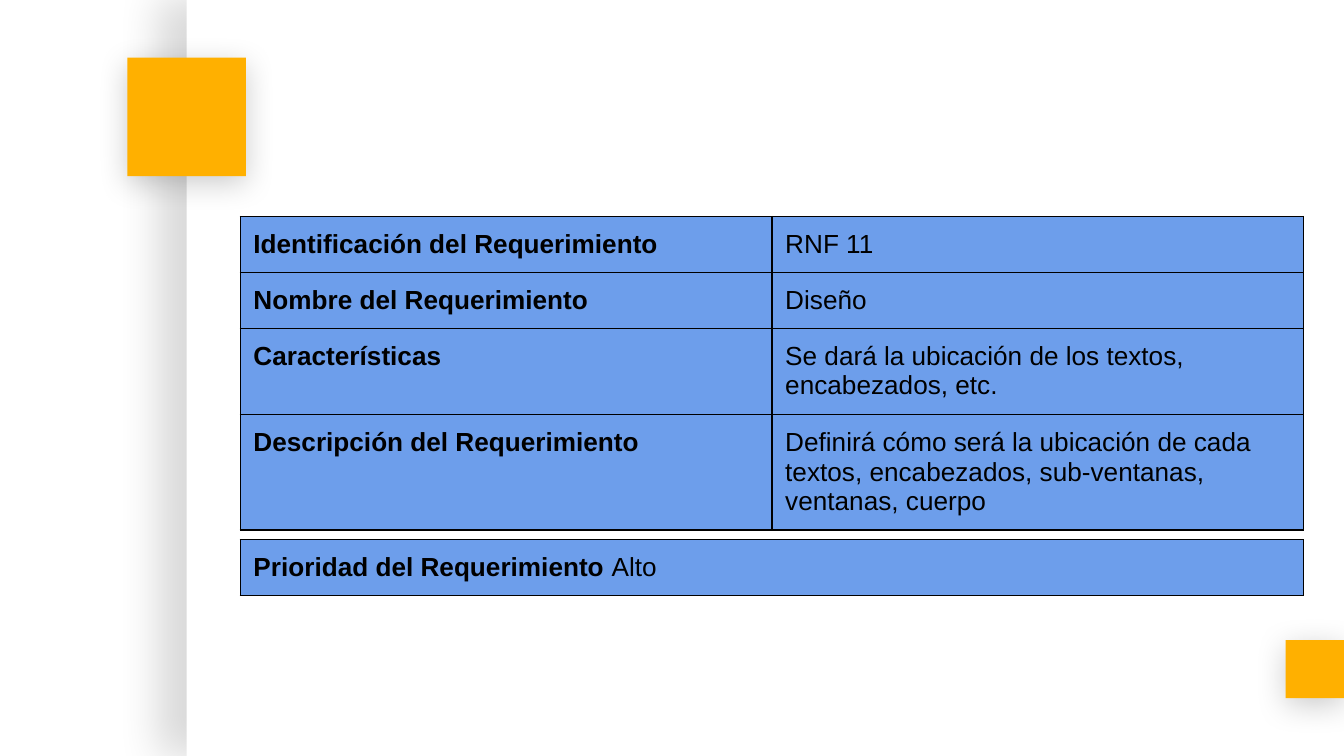
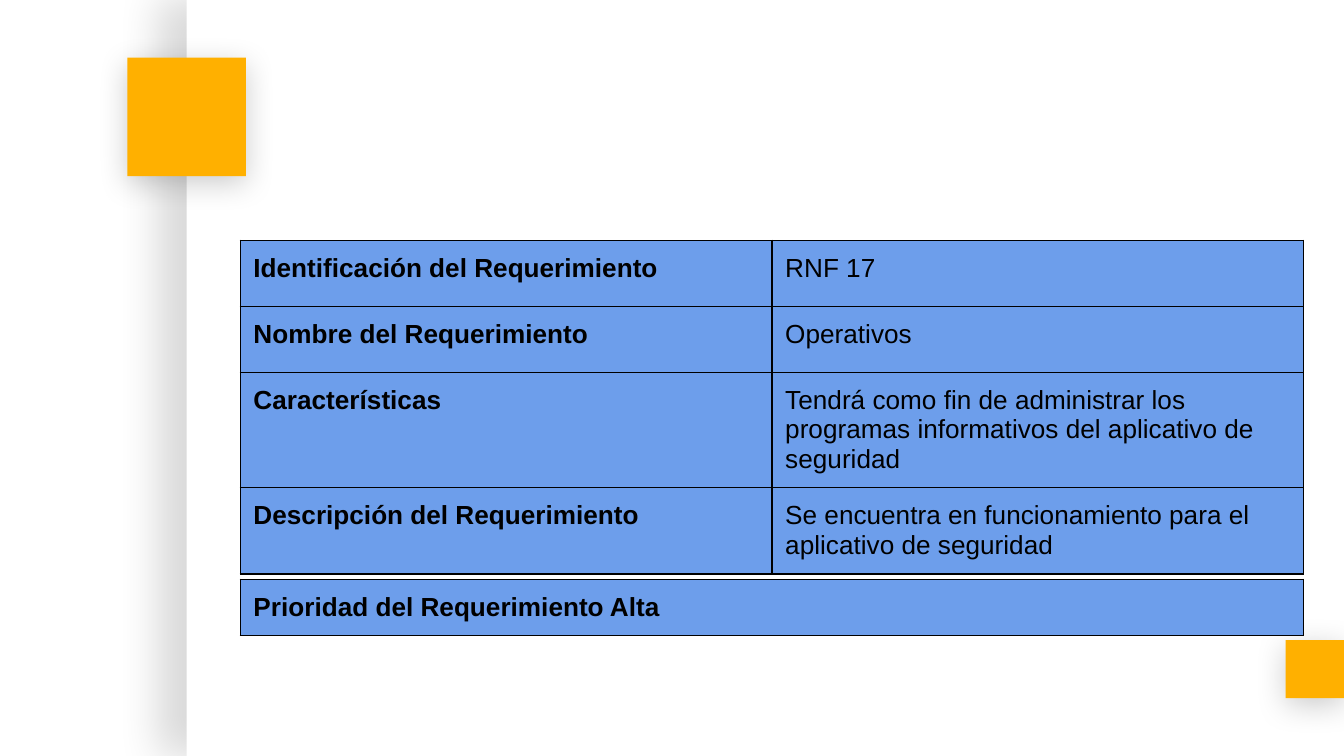
"""Build two slides of non-functional requirement sheets."""
from dataclasses import dataclass

from lxml.etree import SubElement
from pptx import Presentation
from pptx.dml.color import RGBColor
from pptx.enum.shapes import MSO_SHAPE
from pptx.oxml import parse_xml
from pptx.oxml.ns import nsdecls, qn
from pptx.util import Cm, Pt


@dataclass(frozen=True)
class Theme:
    paper: str = "FFFFFF"
    accent: str = "FFB000"
    cell: str = "6D9EEB"
    ink: str = "000000"
    font: str = "Arial"
    text_size: float = 14
    border: float = 0.75
    inset: float = 0.25


theme = Theme()


def add_block(slide, left, top, width, height, color, shadow):
    """Add a borderless rectangle with a soft outer shadow."""
    block = slide.shapes.add_shape(MSO_SHAPE.RECTANGLE, Cm(left), Cm(top), Cm(width), Cm(height))
    block.fill.solid()
    block.fill.fore_color.rgb = RGBColor.from_string(color)
    block.line.fill.background()
    block.shadow.inherit = False
    opacity, blur, distance, angle = shadow
    effects = block.element.spPr.find(qn("a:effectLst"))
    outer = SubElement(effects, qn("a:outerShdw"), blurRad=str(Pt(blur)), dist=str(Pt(distance)),
                       dir=str(angle * 60000), algn="bl", rotWithShape="0")
    tint = SubElement(outer, qn("a:srgbClr"), val=theme.ink)
    SubElement(tint, qn("a:alpha"), val=str(opacity * 1000))
    return block


def add_sheet(slide, top, column_width, heights, rows):
    """Add a bordered table; each cell is a list of (text, bold) runs."""
    columns = len(rows[0])
    frame = slide.shapes.add_table(len(rows), columns, Cm(4.54), Cm(top),
                                   Cm(column_width * columns), Cm(sum(heights)))
    sheet = frame.table
    sheet.first_row = sheet.horz_banding = False
    for column in sheet.columns:
        column.width = Cm(column_width)
    for row, height, contents in zip(sheet.rows, heights, rows):
        row.height = Cm(height)
        for cell, runs in zip(row.cells, contents):
            cell.margin_left = cell.margin_right = Cm(theme.inset)
            cell.margin_top = cell.margin_bottom = Cm(theme.inset)
            cell.fill.solid()
            cell.fill.fore_color.rgb = RGBColor.from_string(theme.cell)
            properties = cell._tc.get_or_add_tcPr()
            for position, side in enumerate(("lnL", "lnR", "lnT", "lnB")):
                properties.insert(position, parse_xml(
                    f'<a:{side} {nsdecls("a")} w="{Pt(theme.border)}"><a:solidFill>'
                    f'<a:srgbClr val="{theme.ink}"/></a:solidFill></a:{side}>'))
            paragraph = cell.text_frame.paragraphs[0]
            paragraph.font.name = theme.font
            paragraph.font.size = Pt(theme.text_size)
            paragraph.font.color.rgb = RGBColor.from_string(theme.ink)
            for text, bold in runs:
                run = paragraph.add_run()
                run.text = text
                run.font.bold = bold


deck = Presentation()
deck.slide_width, deck.slide_height = Cm(25.4), Cm(14.29)
layout = deck.slide_layouts[6]

labels = ("Identificación del Requerimiento", "Nombre del Requerimiento",
          "Características", "Descripción del Requerimiento")
requirements = [
    {
        "top": 4.09,
        "heights": (1.06, 1.06, 1.63, 2.18),
        "values": ("RNF 11", "Diseño", "Se dará la ubicación de los textos, encabezados, etc.",
                   "Definirá cómo será la ubicación de cada textos, encabezados, "
                   "sub-ventanas, ventanas, cuerpo"),
        "priority_top": 10.2,
        "priority": [("Prioridad del Requerimiento ", True), ("Alto", False)],
    },
    {
        "top": 4.54,
        "heights": (1.25, 1.25, 2.18, 1.63),
        "values": ("RNF 17", "Operativos",
                   "Tendrá como fin de administrar los programas informativos "
                   "del aplicativo de seguridad",
                   "Se encuentra en funcionamiento para el aplicativo de seguridad"),
        "priority_top": 10.95,
        "priority": [("Prioridad del Requerimiento Alta", True)],
    },
]
slides = [deck.slides.add_slide(layout) for _ in requirements]

panel_shadow = (15, 22.5, 15, 180)
square_shadow = (20, 16.9, 3.8, 90)
for left, top, width, height, color, shadow in (
    (3.53, 0, 21.87, 14.29, theme.paper, panel_shadow),
    (24.3, 12.1, 1.1, 1.1, theme.accent, square_shadow),
    (2.41, 1.09, 2.24, 2.24, theme.accent, square_shadow),
):
    block = add_block(slides[0], left, top, width, height, color, shadow)
    layout.shapes.element.append(block.element)

for slide, requirement in zip(slides, requirements):
    rows = [([(label, True)], [(value, False)])
            for label, value in zip(labels, requirement["values"])]
    add_sheet(slide, requirement["top"], 10.05, requirement["heights"], rows)
    add_sheet(slide, requirement["priority_top"], 20.1, (1.06,), [(requirement["priority"],)])

deck.save("out.pptx")
